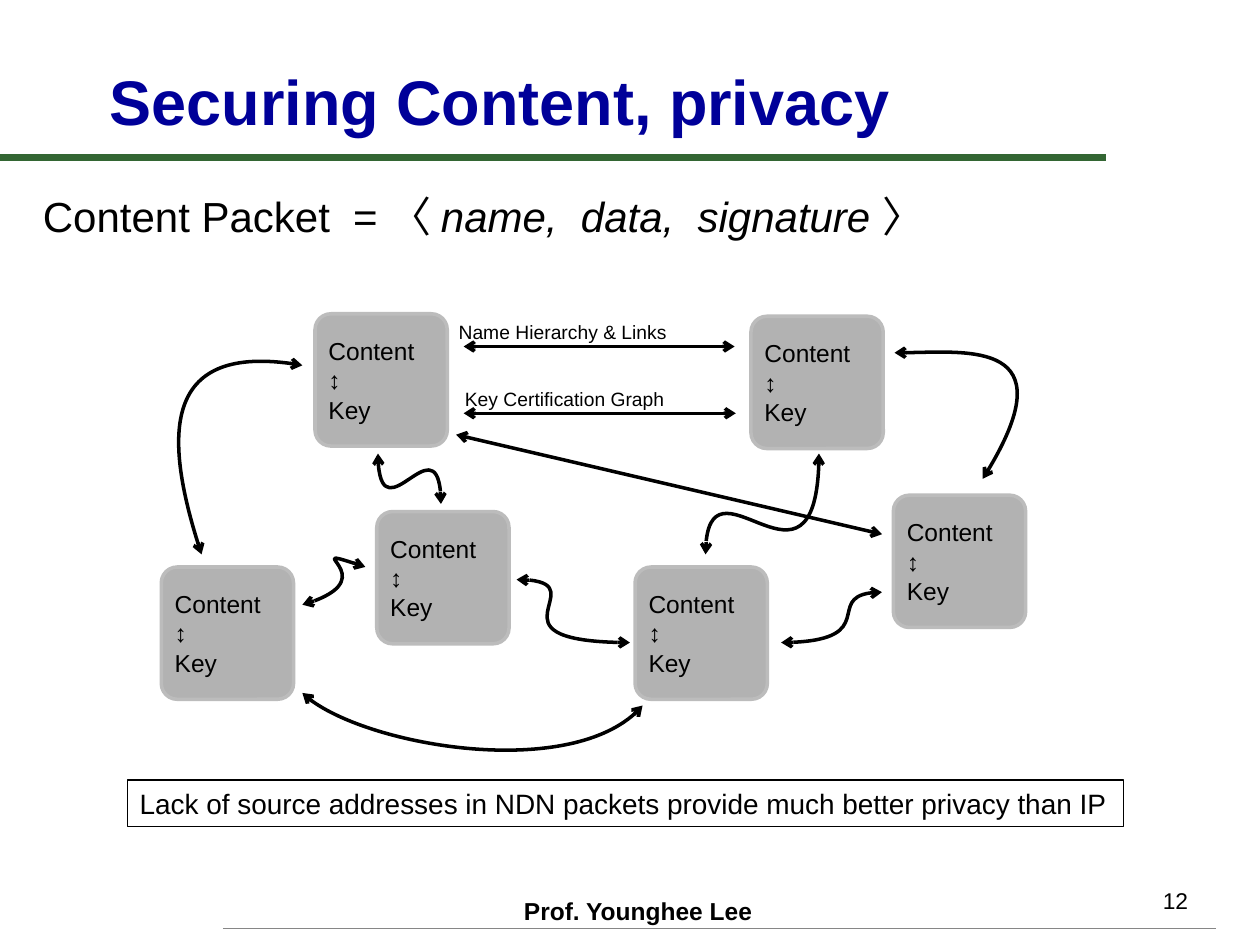
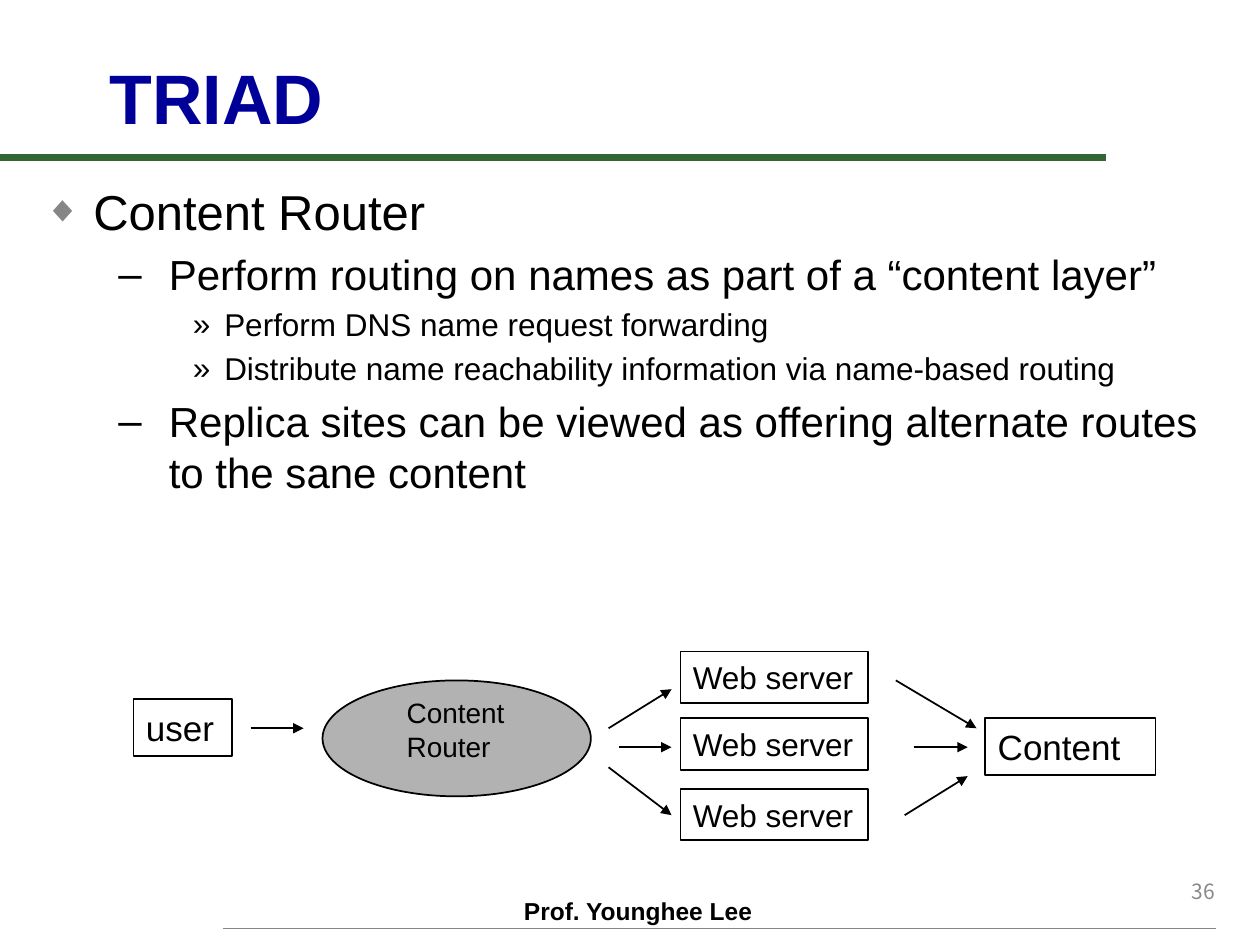
from lxml import etree
from pptx import Presentation
from pptx import util as u
from pptx.dml.color import RGBColor
from pptx.enum import shapes as sh, text as tx
from pptx.oxml import ns

# The grid: one cell is a hundredth of the slide's width
WIDE, HIGH = u.Inches(10), u.Inches(7.5)
CELL = WIDE / 100
FONT = "Arial"
INK = {"text": "000000", "title": "000099", "band": "336633", "rule": "868686",
       "card": "B2B2B2", "edge": "BCBCBC", "page": "898989"}
LEFT, RIGHT = tx.PP_ALIGN.LEFT, tx.PP_ALIGN.RIGHT
MID, TOP, LOW = tx.MSO_ANCHOR.MIDDLE, tx.MSO_ANCHOR.TOP, tx.MSO_ANCHOR.BOTTOM
SHAPE = sh.MSO_SHAPE

# Bullet levels: size, left margin, hanging indent, mark, mark colour, mark size
LEVELS = [(28, 3.9, 3.9, "◆", "rule", 75),
          (24, 9.9, 4, "–", "text", 100),
          (18, 14.3, 2.5, "»", "text", 100)]


def cells(*nums):
    return [round(n * CELL) for n in nums]


def rgb(name):
    return RGBColor.from_string(INK[name])


def sub(node, tag, **attrs):
    return etree.SubElement(node, ns.qn(tag), attrs)


# Text
def write(shape, text, size=14, ink="text", font=FONT, bold=False,
          align=LEFT, anchor=MID, pad=(1, 0.5), wrap=True):
    """Each line is a paragraph; in a line, *stars* enclose italics."""
    frame = shape.text_frame
    frame.word_wrap, frame.auto_size = wrap, tx.MSO_AUTO_SIZE.NONE
    frame.vertical_anchor = anchor
    frame.margin_left, frame.margin_top = cells(*pad)
    frame.margin_right, frame.margin_bottom = cells(*pad)
    for i, line in enumerate(text.split("\n")):
        para = frame.add_paragraph() if i else frame.paragraphs[0]
        para.alignment = align
        for j, part in enumerate(line.split("*")):
            run = para.add_run()
            run.text = part
            run.font.size, run.font.name = u.Pt(size), font
            run.font.bold, run.font.italic = bold, j % 2 == 1
            run.font.color.rgb = rgb(ink)
    return shape


def label(slide, spot, text, **look):
    return write(slide.shapes.add_textbox(*cells(*spot)), text, **look)


def bullets(shape, items):
    write(shape, "\n".join(text for _, text in items), anchor=TOP)
    for para, (level, _) in zip(shape.text_frame.paragraphs, items):
        size, left, hang, mark, ink, scale = LEVELS[level]
        para.level = level
        para.runs[0].font.size = u.Pt(size)
        props = para._p.get_or_add_pPr()
        margin, indent = cells(left, -hang)
        props.set("marL", str(margin))
        props.set("indent", str(indent))
        sub(sub(props, "a:buClr"), "a:srgbClr", val=INK[ink])
        sub(props, "a:buSzPct", val=str(scale * 1000))
        sub(props, "a:buFont", typeface=FONT)
        sub(props, "a:buChar", char=mark)


# Shapes and lines
def box(slide, spot, kind=SHAPE.RECTANGLE, fill=None, edge="text", width=1):
    shape = slide.shapes.add_shape(kind, *cells(*spot))
    shape.shadow.inherit = False
    if fill:
        shape.fill.solid()
        shape.fill.fore_color.rgb = rgb(fill)
    else:
        shape.fill.background()
    shape.line.color.rgb, shape.line.width = rgb(edge), u.Pt(width)
    return shape


def stroke(shape, ink, width, head=None, tail=None):
    shape.line.color.rgb, shape.line.width = rgb(ink), u.Pt(width)
    pen = shape._element.spPr.find(ns.qn("a:ln"))
    for tag, tip in (("a:headEnd", head), ("a:tailEnd", tail)):
        if tip:
            sub(pen, tag, type=tip)


def line(slide, ends, ink="text", width=1, head=None, tail=None):
    link = slide.shapes.add_connector(sh.MSO_CONNECTOR.STRAIGHT, *cells(*ends))
    stroke(link, ink, width, head, tail)
    sub(link._element.spPr, "a:effectLst")


def curve(slide, start, *rest):
    """Two-headed Bezier arrow: start, two control points, end."""
    pen = slide.shapes.build_freeform(*start, scale=CELL)
    pen.add_line_segments(rest, close=False)
    shape = pen.convert_to_shape()
    shape.shadow.inherit = False
    shape.fill.background()
    track = next(shape._element.iter(ns.qn("a:path")))
    bend = sub(track, "a:cubicBezTo")
    for step in track.findall(ns.qn("a:lnTo")):
        bend.append(step[0])
        track.remove(step)
    stroke(shape, "text", 2, "arrow", "arrow")


def card(slide, x, y):
    shape = box(slide, (x, y, 10.5, 10.5), SHAPE.ROUNDED_RECTANGLE,
                "card", "edge", 2)
    shape.adjustments[0] = 0.12
    write(shape, "Content\n↕\nKey", pad=(0.7, 0))


# Shared frame: title, band, footer
def start(deck, layout, title, size):
    slide = deck.slides.add_slide(deck.slide_layouts[layout])
    line(slide, (0, 12.5, 87.8, 12.5), "band", 4)
    line(slide, (17.7, 73.7, 96.5, 73.7), "rule", 1)
    label(slide, (40.6, 70.6, 20.8, 3.3), "Prof. Younghee Lee", bold=True)
    head = slide.shapes.title
    head.left, head.top, head.width, head.height = cells(7.7, 4.4, 81.5, 7.1)
    write(head, title, size=size, ink="title", bold=True, anchor=LOW)
    return slide


def privacy(deck):
    slide = start(deck, 5, "Securing Content, privacy", 36)
    label(slide, (71.7, 69.5, 23.3, 4), "12", size=13, align=RIGHT,
          pad=(0.7, 0.4))
    label(slide, (3.4, 15.1, 82.1, 4),
          "Content Packet  = 〈 *name,  data,  signature *〉", size=24, pad=(0, 0))

    # Content cards
    for x, y in ((25, 24.9), (59.6, 25.1), (70.9, 39.3), (50.4, 45),
                 (29.9, 40.6), (12.8, 45)):
        card(slide, x, y)

    # Straight links and their names
    for ends in ((36.8, 27.5, 58.3, 27.5), (36.8, 32.8, 58.4, 32.8),
                 (70, 42.4, 36.2, 34.5)):
        line(slide, ends, width=2, head="arrow", tail="arrow")
    for x, y, name in ((36.4, 25.4, "Name Hierarchy & Links"),
                       (36.9, 30.7, "Key Certification Graph")):
        label(slide, (x, y, 16.6, 1.9), name, size=11, pad=(0, 0), wrap=False)

    # Curved links
    for points in (
            ((70.9, 27.7), (75.8, 27.7), (84.6, 27), (78.1, 38.2)),
            ((70.1, 46.9), (64.9, 47), (69.9, 50.8), (61.8, 50.7)),
            ((55.7, 44.3), (55.7, 34.7), (65.4, 49.3), (65, 36.4)),
            ((34.9, 40), (34.7, 32.9), (29.6, 43.2), (30.2, 36.2)),
            ((23.7, 55.3), (27.8, 59.4), (45.6, 61.9), (50.7, 55.8)),
            ((16.3, 43.9), (12.9, 34.7), (13.3, 26.6), (23.9, 28.8)),
            ((41, 46.2), (48.4, 46.2), (38.4, 51.3), (49.7, 50.6)),
            ((24.1, 48.3), (30.7, 46.5), (22.9, 43), (29.1, 44.7))):
        curve(slide, *points)

    write(box(slide, (10.1, 61.9, 79.1, 3.7), width=0.75),
          "Lack of source addresses in NDN packets provide much better "
          "privacy than IP", size=16)


def triad(deck):
    slide = start(deck, 1, "TRIAD", 40)
    label(slide, (76.6, 68.2, 20.8, 5), "36", size=12, ink="page",
          font="Noto Sans CJK KR", align=RIGHT)
    body = slide.placeholders[1]
    body.left, body.top, body.width, body.height = cells(2.5, 13.9, 96.3, 42.5)
    bullets(body, [
        (0, "Content Router"),
        (1, "Perform routing on names as part of a “content layer”"),
        (2, "Perform DNS name request forwarding"),
        (2, "Distribute name reachability information via name-based routing"),
        (1, "Replica sites can be viewed as offering alternate routes "
            "to the sane content")])

    # Request path: user, router, servers, content
    write(box(slide, (10.6, 55.5, 7.8, 4.5)), "user", size=20)
    box(slide, (25.6, 54, 21.3, 9.2), SHAPE.OVAL, "card")
    label(slide, (31.3, 54.7, 10, 6.4), "Content\nRouter", size=16)
    for y in (51.7, 57, 62.6):
        write(box(slide, (54, y, 14.9, 4.1)), "Web server", size=18)
    write(box(slide, (78.2, 57, 13.5, 4.5)), "Content", size=20)

    # Arrows
    for ends in ((19.9, 57.8, 24.1, 57.8),
                 (48.3, 57.8, 53.3, 54.7), (49.1, 59.3, 53.3, 59.3),
                 (48.3, 60.9, 53.3, 64.7), (72.5, 59.3, 76.8, 59.3),
                 (71.8, 64.7, 76.8, 61.6), (71.1, 54, 77.5, 57.8)):
        line(slide, ends, tail="triangle")


def main():
    deck = Presentation()
    deck.slide_width, deck.slide_height = WIDE, HIGH
    privacy(deck)
    triad(deck)
    deck.save("out.pptx")


if __name__ == "__main__":
    main()
